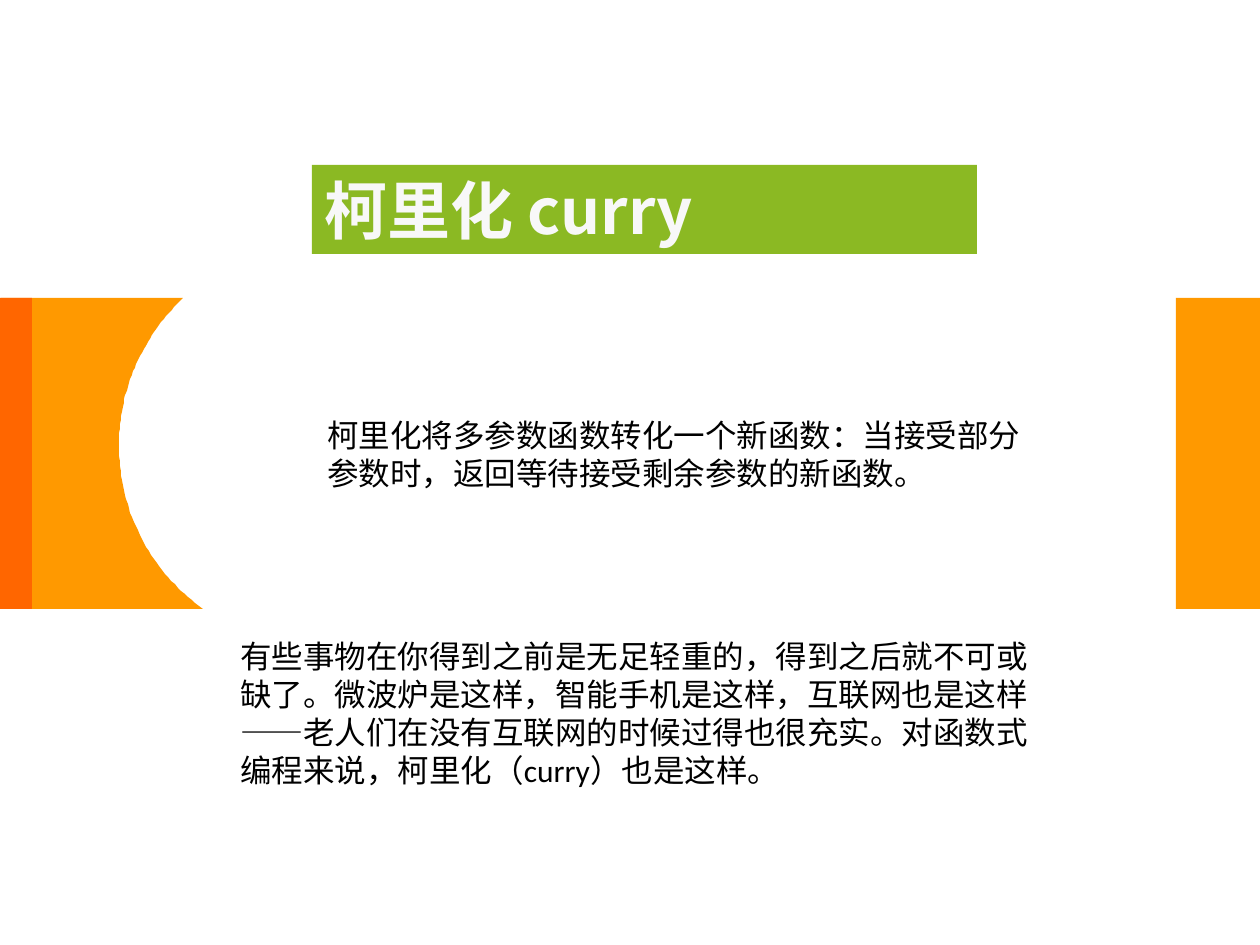
from pptx import Presentation
from pptx import util as u
from pptx.dml.color import RGBColor
from pptx.enum import shapes, text

SCALE = u.Inches(1) // 126


def px(n):
    return u.Emu(round(n * SCALE))


def rgb(code):
    return RGBColor.from_string(code)


def write(frame, words, font="Calibri", size=18, color="000000", bold=False,
          anchor=text.MSO_ANCHOR.TOP):
    frame.word_wrap = True
    frame.vertical_anchor = anchor
    para = frame.paragraphs[0]
    para.alignment = text.PP_ALIGN.LEFT
    run = para.add_run()
    run.text = words
    run.font.name = font
    run.font.size = u.Pt(size)
    run.font.bold = bold
    run.font.color.rgb = rgb(color)


def curve(a, b, c, d, steps=40):
    """Points along a cubic Bezier curve, without its start."""
    points = []
    for i in range(1, steps + 1):
        t = i / steps
        s = 1 - t
        points.append(tuple(
            s**3 * p + 3 * s * s * t * q + 3 * s * t * t * r + t**3 * e
            for p, q, r, e in zip(a, b, c, d)))
    return points


class Deck:
    orange = "FF9900"
    dark = "FF6600"
    green = "8BB923"
    pale = "F8F8F8"

    def __init__(self):
        self.prs = Presentation()
        self.prs.slide_width = px(1260)
        self.prs.slide_height = px(945)
        self.slide = self.prs.slides.add_slide(self.prs.slide_layouts[6])

    def paint(self, shape, fill):
        shape.shadow.inherit = False
        shape.fill.solid()
        shape.fill.fore_color.rgb = rgb(fill)
        shape.line.fill.background()
        return shape

    def rect(self, x, y, w, h, fill):
        shape = self.slide.shapes.add_shape(
            shapes.MSO_SHAPE.RECTANGLE, px(x), px(y), px(w), px(h))
        return self.paint(shape, fill)

    def free(self, points, fill):
        first, *rest = points
        pen = self.slide.shapes.build_freeform(*first, scale=SCALE)
        pen.add_line_segments(rest, close=True)
        return self.paint(pen.convert_to_shape(), fill)

    def note(self, x, y, w, h, words):
        box = self.slide.shapes.add_textbox(px(x), px(y), px(w), px(h))
        write(box.text_frame, words)


def main():
    deck = Deck()
    title = deck.rect(312, 165, 665, 89, deck.green)
    write(title.text_frame, "柯里化 curry", font="Noto Sans CJK SC", size=36,
          color=deck.pale, bold=True, anchor=text.MSO_ANCHOR.MIDDLE)

    top, high = 298, 311
    base = top + high
    start, mid, end = (183, top), (119, 446), (203, base)
    arc = (curve(start, (144, 335), (119, 387), mid)
           + curve(mid, (119, 513), (152, 572), end))
    deck.free([(1, top), start, *arc, (1, base)], deck.orange)
    deck.rect(1176, top, 84, high, deck.orange)
    deck.rect(0, top, 32, high, deck.dark)

    deck.note(228, 631, 833, 165,
              "有些事物在你得到之前是无足轻重的，得到之后就不可或缺了。"
              "微波炉是这样，智能手机是这样，互联网也是这样——"
              "老人们在没有互联网的时候过得也很充实。"
              "对函数式编程来说，柯里化（curry）也是这样。")
    deck.note(315, 410, 747, 89,
              "柯里化将多参数函数转化一个新函数："
              "当接受部分参数时，返回等待接受剩余参数的新函数。")
    deck.prs.save("out.pptx")


if __name__ == "__main__":
    main()
